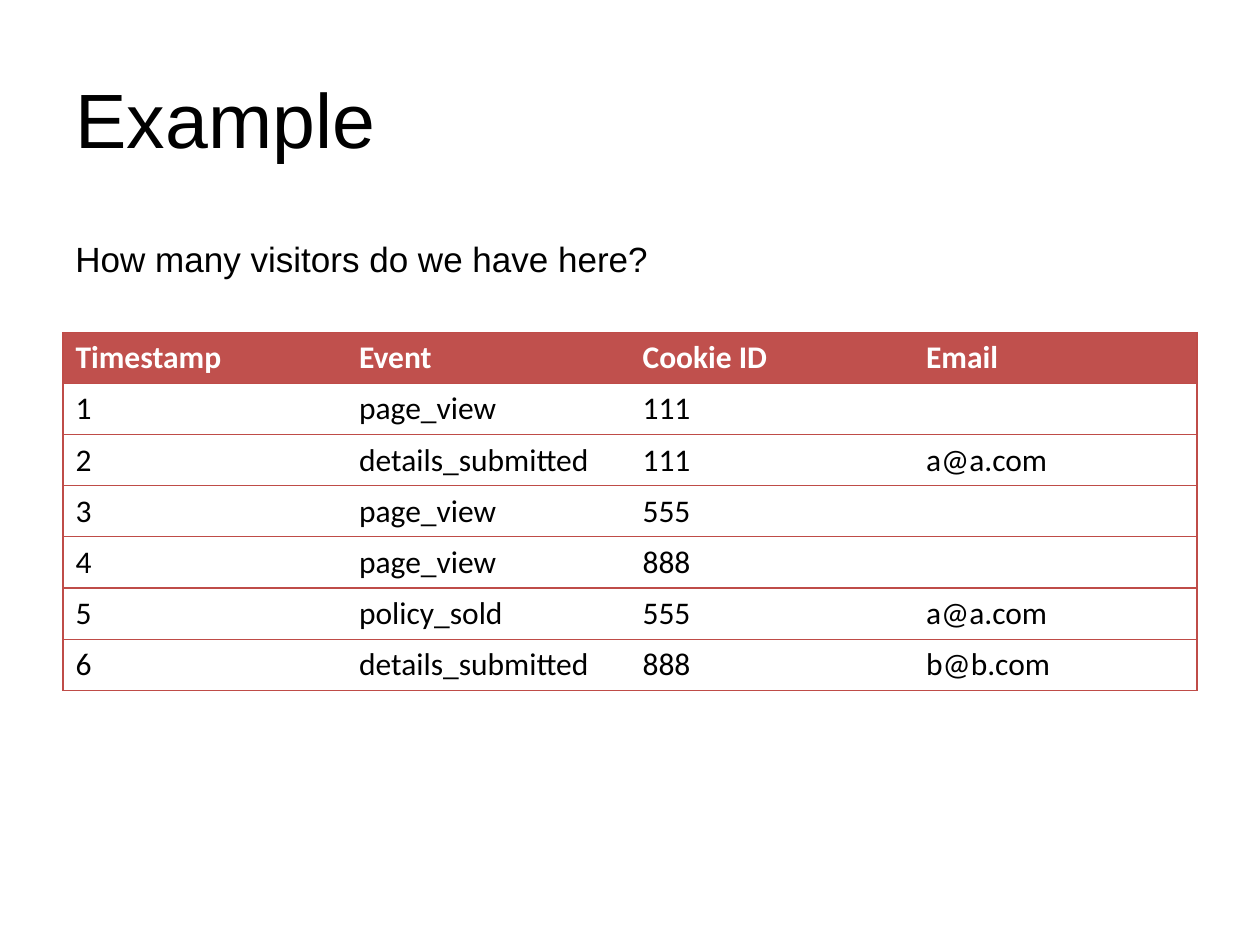
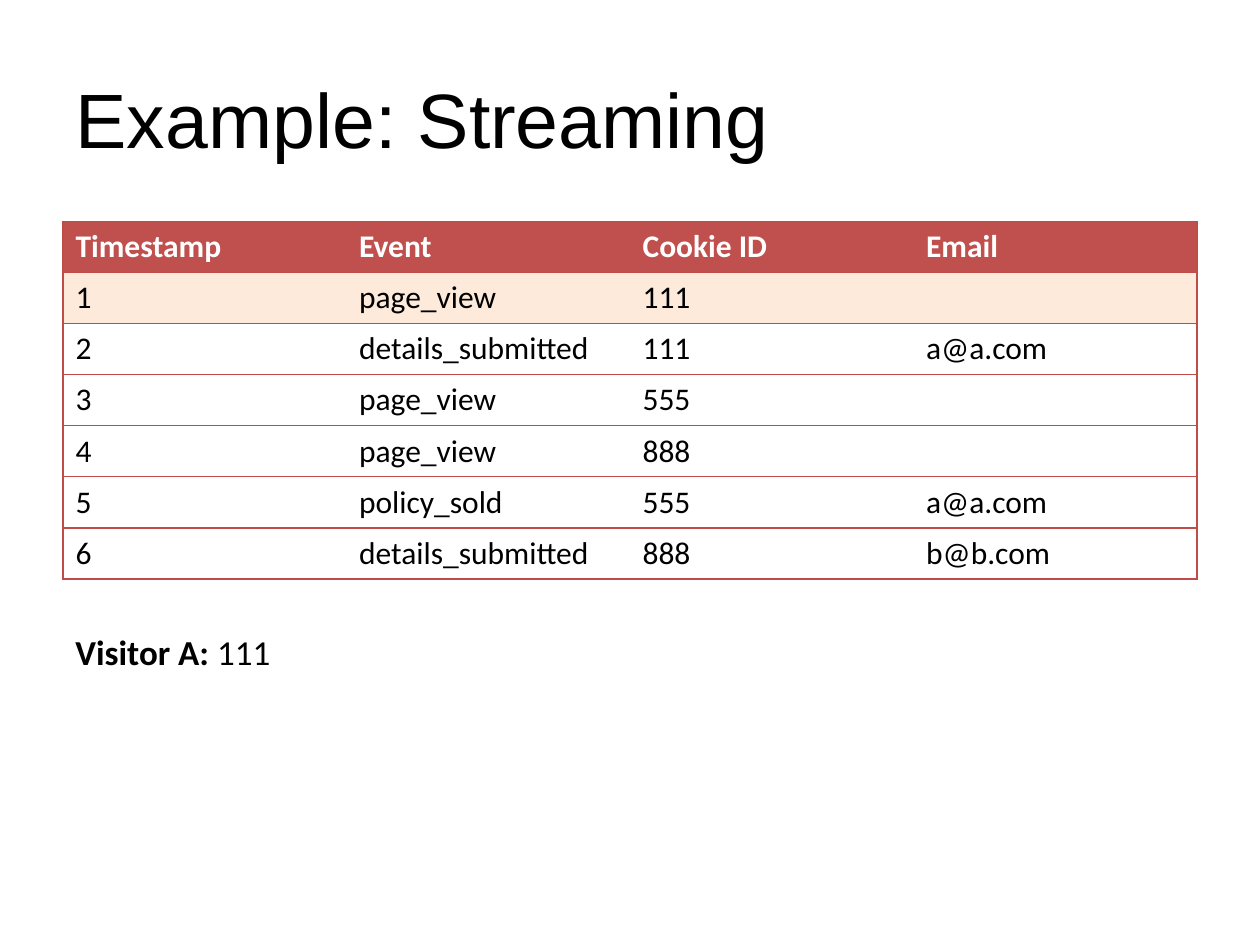
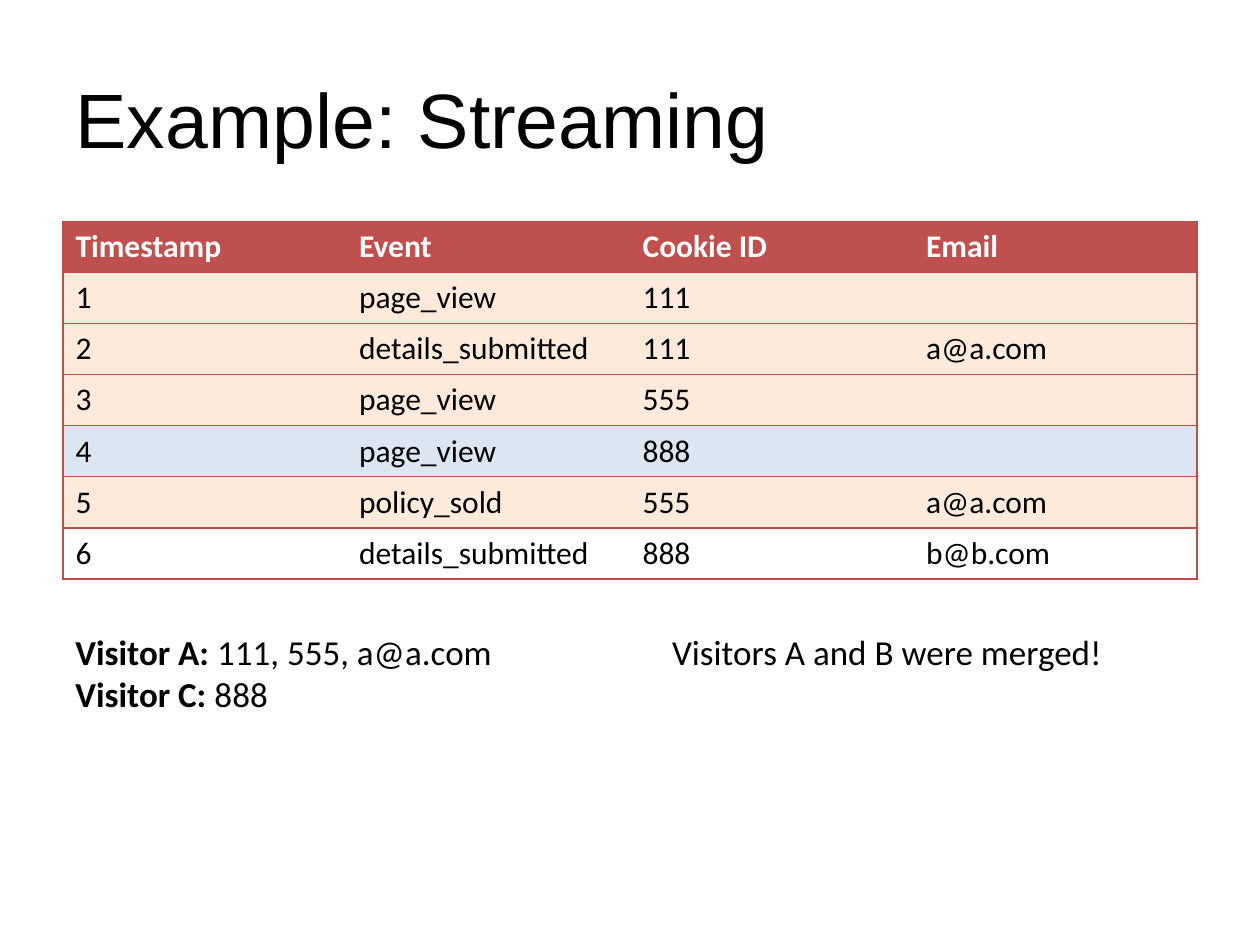
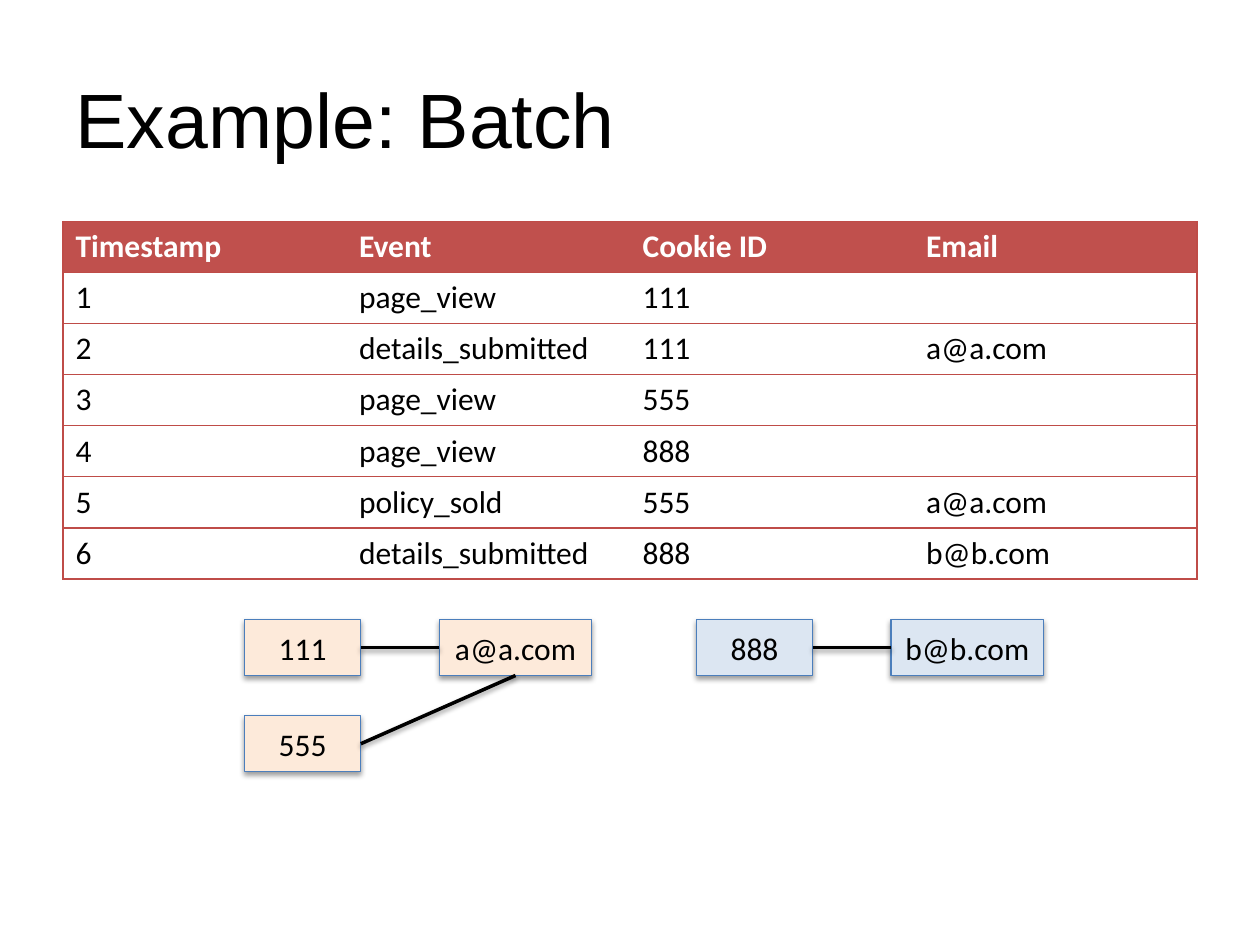
from lxml import etree
from pptx import Presentation
from pptx.dml.color import RGBColor
from pptx.enum.shapes import MSO_CONNECTOR, MSO_SHAPE
from pptx.enum.text import MSO_ANCHOR, MSO_AUTO_SIZE, PP_ALIGN
from pptx.oxml.ns import qn
from pptx.util import Pt

RECT = MSO_SHAPE.RECTANGLE
STRAIGHT = MSO_CONNECTOR.STRAIGHT
MIDDLE = MSO_ANCHOR.MIDDLE
NO_AUTOFIT = MSO_AUTO_SIZE.NONE
LEFT, CENTER = PP_ALIGN.LEFT, PP_ALIGN.CENTER
BOTTOM_SIDE, LEFT_SIDE, RIGHT_SIDE = 2, 1, 3

COLORS = {
    "text": "000000",
    "white": "FFFFFF",
    "header": "C0504D",
    "grid": "BF4C48",
    "orange": "FDEADA",
    "blue": "DCE6F2",
    "outline": "4B7EBC",
}
HEADING_FONT, BODY_FONT = "Arial", "Calibri"
MARGIN, CONTENT_W = 36, 648
ROW_H = 29.2
TABLE_TOP = 126.5
NOTE_TOP = 357
NODE_TOP, NODE_H, NODE_STEP = 354, 32, 55
COOKIE_W, EMAIL_W, EMAIL_OFFSET = 66.4, 87.2, 111.2

EVENTS = [
    ("Timestamp", "Event", "Cookie ID", "Email"),
    ("1", "page_view", "111", ""),
    ("2", "details_submitted", "111", "a@a.com"),
    ("3", "page_view", "555", ""),
    ("4", "page_view", "888", ""),
    ("5", "policy_sold", "555", "a@a.com"),
    ("6", "details_submitted", "888", "b@b.com"),
]


class Deck:
    def __init__(self):
        self.prs = Presentation()
        self.prs.slide_width, self.prs.slide_height = Pt(720), Pt(540)
        self.s = None

    def color(self, name):
        return RGBColor.from_string(COLORS[name])

    def run(self, p, text, size, font=BODY_FONT, color="text", bold=False):
        r = p.add_run()
        r.text = text
        r.font.size = Pt(size)
        r.font.name = font
        r.font.bold = bold
        r.font.color.rgb = self.color(color)

    def slide(self, title):
        self.s = self.prs.slides.add_slide(self.prs.slide_layouts[5])
        sp = self.s.shapes.title
        sp.left, sp.top, sp.width, sp.height = Pt(MARGIN), Pt(30), Pt(CONTENT_W), Pt(83.5)
        tf = sp.text_frame
        tf.auto_size = NO_AUTOFIT
        tf.vertical_anchor = MIDDLE
        p = tf.paragraphs[0]
        p.alignment = LEFT
        p.line_spacing = Pt(44)
        self.run(p, title, 44, HEADING_FONT)

    def question(self, text):
        sp = self.s.shapes.add_textbox(Pt(MARGIN), Pt(132), Pt(CONTENT_W), Pt(301))
        tf = sp.text_frame
        tf.word_wrap = True
        p = tf.paragraphs[0]
        p.line_spacing = Pt(24)
        p.space_before = Pt(4)
        self.run(p, text, 20, HEADING_FONT)

    def note(self, x, w, h, lines):
        sp = self.s.shapes.add_textbox(Pt(x), Pt(NOTE_TOP), Pt(w), Pt(h))
        tf = sp.text_frame
        tf.word_wrap = False
        for i, (label, text) in enumerate(lines):
            p = tf.add_paragraph() if i else tf.paragraphs[0]
            if label:
                self.run(p, label, 20, bold=True)
            self.run(p, text, 20)

    def border(self, cell, side, visible):
        ln = etree.SubElement(cell._tc.get_or_add_tcPr(), qn(f"a:ln{side}"), w=str(Pt(0.75)))
        if visible:
            fill = etree.SubElement(ln, qn("a:solidFill"))
            etree.SubElement(fill, qn("a:srgbClr"), val=COLORS["grid"])
        else:
            etree.SubElement(ln, qn("a:noFill"))

    def event_table(self, top=TABLE_TOP, highlights=None):
        highlights = highlights or {}
        n_rows, n_cols = len(EVENTS), len(EVENTS[0])
        frame = self.s.shapes.add_table(
            n_rows, n_cols, Pt(MARGIN), Pt(top), Pt(CONTENT_W), Pt(ROW_H * n_rows))
        table = frame.table
        table.horz_banding = False
        for row in table.rows:
            row.height = Pt(ROW_H)
        for i, values in enumerate(EVENTS):
            fill = "header" if i == 0 else highlights.get(i)
            for j, text in enumerate(values):
                cell = table.cell(i, j)
                self.border(cell, "L", j == 0)
                self.border(cell, "R", j == n_cols - 1)
                self.border(cell, "T", True)
                self.border(cell, "B", True)
                if fill:
                    cell.fill.solid()
                    cell.fill.fore_color.rgb = self.color(fill)
                else:
                    cell.fill.background()
                if text:
                    self.run(cell.text_frame.paragraphs[0], text, 18,
                             color="text" if i else "white", bold=i == 0)

    def soft_shadow(self, sp):
        effects = etree.SubElement(sp._element.spPr, qn("a:effectLst"))
        shadow = etree.SubElement(effects, qn("a:outerShdw"), blurRad=str(Pt(3.1)),
                                  dist=str(Pt(1.6)), dir="5400000", rotWithShape="0")
        clr = etree.SubElement(shadow, qn("a:srgbClr"), val=COLORS["text"])
        etree.SubElement(clr, qn("a:alpha"), val="38000")

    def node(self, x, y, w, text, fill):
        sp = self.s.shapes.add_shape(RECT, Pt(x), Pt(y), Pt(w), Pt(NODE_H))
        sp.fill.solid()
        sp.fill.fore_color.rgb = self.color(fill)
        sp.line.color.rgb = self.color("outline")
        sp.line.width = Pt(0.75)
        self.soft_shadow(sp)
        tf = sp.text_frame
        tf.word_wrap = False
        tf.vertical_anchor = MIDDLE
        p = tf.paragraphs[0]
        p.alignment = CENTER
        self.run(p, text, 18)
        return sp

    def link(self, start, end, end_side):
        c = self.s.shapes.add_connector(STRAIGHT, 0, 0, 0, 0)
        c.begin_connect(start, RIGHT_SIDE)
        c.end_connect(end, end_side)
        c.line.color.rgb = self.color("text")
        c.line.width = Pt(2)
        self.soft_shadow(c)

    def visitor_graph(self, x, cookies, email, fill):
        cookie_nodes = [self.node(x, NODE_TOP + i * NODE_STEP, COOKIE_W, cookie, fill)
                        for i, cookie in enumerate(cookies)]
        email_node = self.node(x + EMAIL_OFFSET, NODE_TOP, EMAIL_W, email, fill)
        for i, cookie_node in enumerate(cookie_nodes):
            self.link(cookie_node, email_node, BOTTOM_SIDE if i else LEFT_SIDE)


def main():
    deck = Deck()

    deck.slide("Example")
    deck.question("How many visitors do we have here?")
    deck.event_table(top=190)

    deck.slide("Example: Streaming")
    deck.event_table(highlights={1: "orange"})
    deck.note(MARGIN, 127.5, 31.5, [("Visitor A:", " 111")])

    deck.slide("Example: Streaming")
    deck.event_table(highlights={1: "orange", 2: "orange", 3: "orange", 4: "blue", 5: "orange"})
    deck.note(MARGIN, 255, 80, [("Visitor A:", " 111, 555, a@a.com"), ("Visitor C:", " 888")])
    deck.note(377, 263.5, 31.5, [("", "Visitors A and B were merged!")])

    deck.slide("Example: Batch")
    deck.event_table()
    deck.visitor_graph(139.8, ["111", "555"], "a@a.com", "orange")
    deck.visitor_graph(398, ["888"], "b@b.com", "blue")

    deck.prs.save("out.pptx")


if __name__ == "__main__":
    main()
